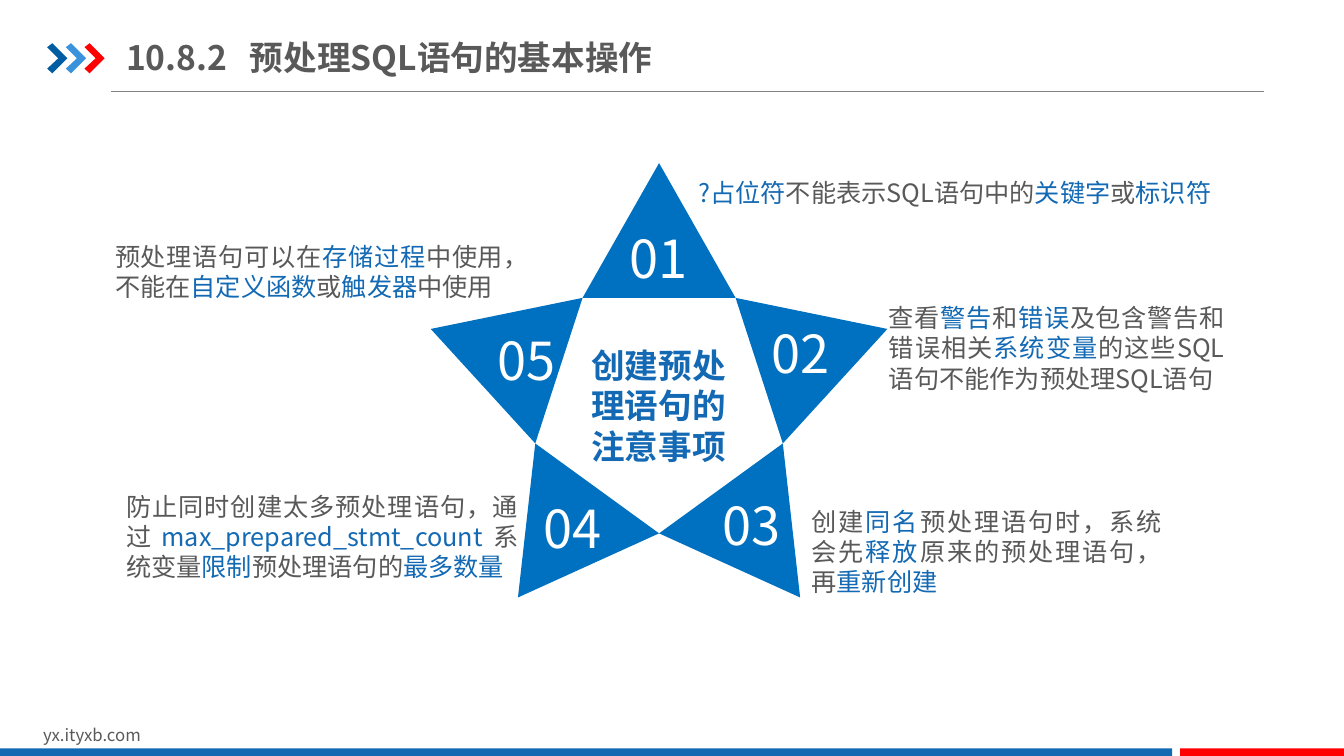
from math import cos, pi, sin

from lxml import etree
from pptx import Presentation
from pptx.dml.color import RGBColor
from pptx.enum.shapes import MSO_CONNECTOR, MSO_SHAPE
from pptx.enum.text import MSO_ANCHOR, MSO_AUTO_SIZE, PP_ALIGN
from pptx.oxml.ns import qn
from pptx.util import Cm, Pt

LEFT, CENTER, JUSTIFY = PP_ALIGN.LEFT, PP_ALIGN.CENTER, PP_ALIGN.JUSTIFY
TOP, MIDDLE = MSO_ANCHOR.TOP, MSO_ANCHOR.MIDDLE
NO_AUTOFIT = MSO_AUTO_SIZE.NONE
RECT, STRAIGHT = MSO_SHAPE.RECTANGLE, MSO_CONNECTOR.STRAIGHT

FONT = "Noto Sans CJK SC"
GREY, BLUE, STAR_BLUE, RED, WHITE = "595959", "1369B3", "0070C0", "FF0000", "FFFFFF"

STAR_X, STAR_Y, OUTER_R, INNER_R = 16.61, 10.16, 6.05, 3.28
CHEVRON = [(0, 0.1), (0.13, 0), (0.51, 0.38), (0.13, 0.76), (0, 0.64), (0.28, 0.38)]

# left, top, width in cm
NUMBERS = [
    ("01", 15.6, 5.69, 2.01),
    ("02", 18.95, 8.1, 2.44),
    ("03", 17.96, 12.42, 1.98),
    ("04", 13.51, 12.5, 1.83),
    ("05", 12.4, 8.26, 1.73),
]
# text between asterisks is highlighted
NOTES = [
    ("*?占位符*不能表示SQL语句中的*关键字*或*标识符*", 17.6, 4.47, 13.28),
    ("查看*警告*和*错误*及包含警告和错误相关*系统变量*的这些SQL语句不能作为预处理SQL语句",
     22.4, 7.62, 8.46),
    ("创建*同名*预处理语句时，系统会先*释放*原来的预处理语句，再*重新创建*",
     20.45, 12.75, 8.84),
    ("防止同时创建太多预处理语句，通过*max_prepared_stmt_count*系统变量*限制*预处理语句的*最多数量*",
     3.18, 12.37, 9.88),
    ("预处理语句可以在*存储过程*中使用，不能在*自定义函数*或*触发器*中使用",
     2.9, 6.07, 9.8),
]


def rgb(color):
    return RGBColor.from_string(color)


def paint(sp, color):
    sp.fill.solid()
    sp.fill.fore_color.rgb = rgb(color)
    sp.line.fill.background()
    sp.shadow.inherit = False


def add_polygon(s, points, color):
    points = [(Cm(x), Cm(y)) for x, y in points]
    builder = s.shapes.build_freeform(*points[0])
    builder.add_line_segments(points[1:], close=True)
    paint(builder.convert_to_shape(), color)


def add_bar(s, left, width, color):
    paint(s.shapes.add_shape(RECT, Cm(left), Cm(18.86), Cm(width), Cm(0.22)), color)


def add_box(s, left, top, width, height):
    return s.shapes.add_textbox(Cm(left), Cm(top), Cm(width), Cm(height))


def write(sp, text, size=18, color=GREY, bold=False, align=LEFT, anchor=TOP,
          insets=(0, 0), tab=None):
    """Fill a shape with text; newlines split paragraphs, asterisks mark highlights."""
    tf = sp.text_frame
    tf.word_wrap, tf.auto_size, tf.vertical_anchor = True, NO_AUTOFIT, anchor
    tf.margin_left = tf.margin_right = Cm(insets[0])
    tf.margin_top = tf.margin_bottom = Cm(insets[1])
    for i, line in enumerate(text.split("\n")):
        p = tf.add_paragraph() if i else tf.paragraphs[0]
        p.alignment = align
        if tab:
            tabs = etree.SubElement(p._p.get_or_add_pPr(), qn("a:tabLst"))
            etree.SubElement(tabs, qn("a:tab"), pos=str(Cm(tab)), algn="l")
        for j, part in enumerate(line.split("*")):
            if not part:
                continue
            r = p.add_run()
            r.text = part
            r.font.size, r.font.bold, r.font.name = Pt(size), bold, FONT
            r.font.color.rgb = rgb(BLUE if j % 2 else color)
            etree.SubElement(r._r.get_or_add_rPr(), qn("a:ea"), typeface=FONT)


def add_header(s):
    rule = s.shapes.add_connector(STRAIGHT, Cm(2.79), Cm(2.31), Cm(31.85), Cm(2.31))
    rule.line.color.rgb = rgb("808080")
    rule.line.width = Pt(0.75)
    etree.SubElement(rule._element.spPr, qn("a:effectLst"))
    for i, color in enumerate(("005DA2", "3992DB", RED)):
        add_polygon(s, [(1.19 + 0.47 * i + x, 1.09 + y) for x, y in CHEVRON], color)
    title = s.shapes.title
    title.left, title.top, title.width, title.height = Cm(3.18), Cm(0.74), Cm(14.55), Cm(1.4)
    write(title, "10.8.2\t预处理SQL语句的基本操作", size=24, bold=True, anchor=MIDDLE,
          insets=(0, 0.18), tab=3.12)


def add_footer(s):
    write(add_box(s, 0.84, 18.14, 8.08, 0.76), "yx.ityxb.com", size=12, insets=(0.25, 0.13))
    add_bar(s, 0, 29.54, "1369B2")
    add_bar(s, 29.74, 4.13, RED)


def star_point(radius, tenths):
    """Point at a number of tenths of a turn clockwise from the top."""
    angle = tenths * pi / 5
    return STAR_X + radius * sin(angle), STAR_Y - radius * cos(angle)


def add_star(s):
    for tip in range(0, 10, 2):
        add_polygon(s, [star_point(INNER_R, tip - 1), star_point(OUTER_R, tip),
                        star_point(INNER_R, tip + 1)], STAR_BLUE)
    for number, left, top, width in NUMBERS:
        write(add_box(s, left, top, width, 1.6), number, size=37.4, color=WHITE, align=CENTER)
    write(add_box(s, 14.55, 8.69, 4.09, 3.07), "创建预处理语句的\n注意事项",
          size=24, color=BLUE, bold=True, align=CENTER)


def main():
    prs = Presentation()
    prs.slide_width, prs.slide_height = Cm(33.87), Cm(19.05)
    s = prs.slides.add_slide(prs.slide_layouts[5])
    add_header(s)
    add_footer(s)
    add_star(s)
    for text, left, top, width in NOTES:
        write(add_box(s, left, top, width, 2.31), text, align=JUSTIFY)
    prs.save("out.pptx")


if __name__ == "__main__":
    main()
